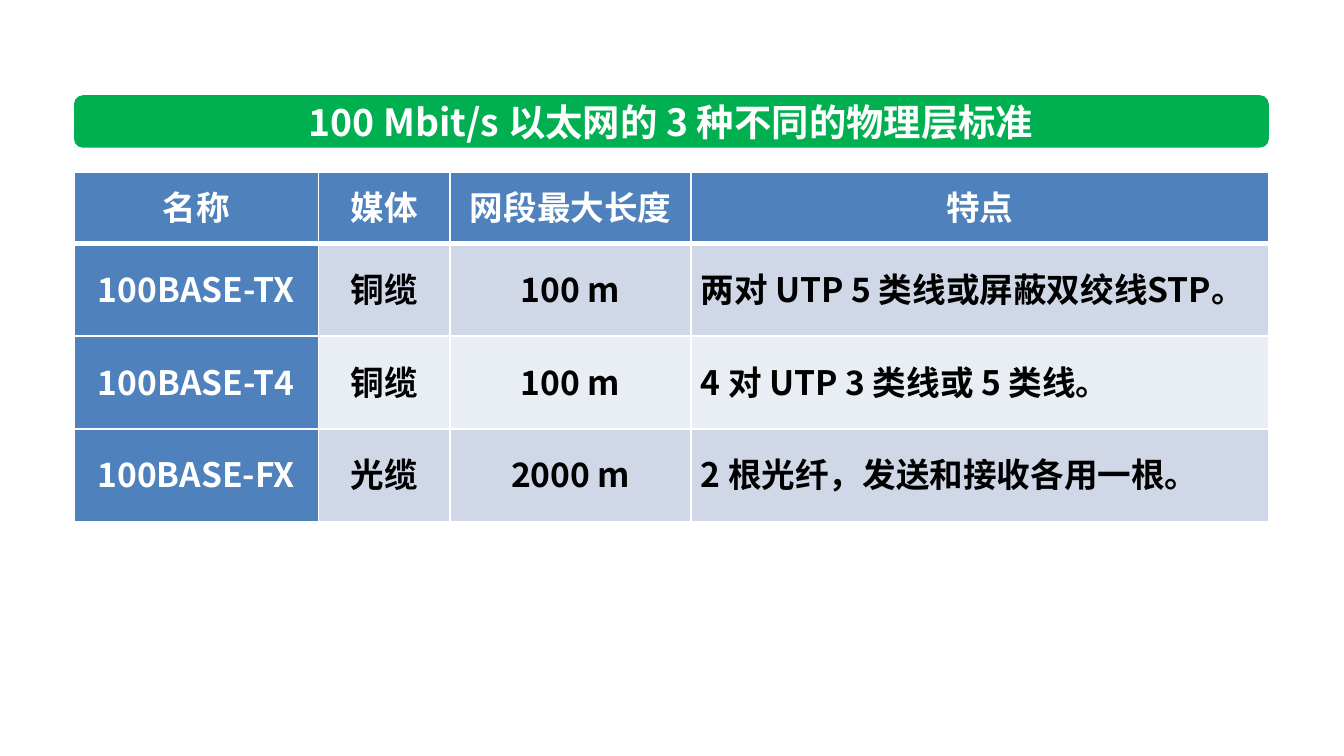
from dataclasses import dataclass

from lxml import etree
from pptx import Presentation
from pptx.dml.color import RGBColor
from pptx.enum.shapes import MSO_SHAPE
from pptx.enum.text import MSO_ANCHOR, MSO_AUTO_SIZE, PP_ALIGN
from pptx.oxml.ns import qn
from pptx.util import Cm, Pt

ROUNDED = MSO_SHAPE.ROUNDED_RECTANGLE
MIDDLE = MSO_ANCHOR.MIDDLE
CENTER, LEFT = PP_ALIGN.CENTER, PP_ALIGN.LEFT
GROW = MSO_AUTO_SIZE.SHAPE_TO_FIT_TEXT


@dataclass(frozen=True)
class Theme:
    font: str = "Noto Sans CJK SC"
    title_size: int = 20
    cell_size: int = 18
    line_spacing: int = 24
    bar: str = "00B050"
    head: str = "4F81BD"
    bands: tuple = ("D0D8E8", "E9EDF4")
    white: str = "FFFFFF"
    black: str = "000000"


theme = Theme()


def write(tf, text, size, color, align=CENTER, spacing=None):
    """Put one bold paragraph into a text frame."""
    p = tf.paragraphs[0]
    p.alignment = align
    if spacing:
        p.line_spacing = Pt(spacing)
    r = p.add_run()
    r.text = text
    r.font.name = theme.font
    r.font.size = Pt(size)
    r.font.bold = True
    r.font.color.rgb = RGBColor.from_string(color)
    etree.SubElement(r.font._element, qn("a:ea"), typeface=theme.font)


def set_borders(cell, bottom):
    """Draw white cell borders; only the bottom width varies."""
    tcPr = cell._tc.get_or_add_tcPr()
    widths = {"a:lnL": 1, "a:lnR": 1, "a:lnT": 1, "a:lnB": bottom}
    for i, (tag, width) in enumerate(widths.items()):
        ln = etree.Element(qn(tag), w=str(Pt(width)))
        fill = etree.SubElement(ln, qn("a:solidFill"))
        etree.SubElement(fill, qn("a:srgbClr"), val=theme.white)
        tcPr.insert(i, ln)


prs = Presentation()
prs.slide_width, prs.slide_height = Cm(25.4), Cm(14.28)
s = prs.slides.add_slide(prs.slide_layouts[5])
left, width = Cm(1.4), Cm(22.58)

# Green bar, placed behind the title
bar = s.shapes.add_shape(ROUNDED, left, Cm(1.8), width, Cm(0.99))
bar.shadow.inherit = False
bar.fill.solid()
bar.fill.fore_color.rgb = RGBColor.from_string(theme.bar)
bar.line.fill.background()
s.shapes.title._element.addprevious(bar._element)

# Title
title = s.shapes.title
title.left, title.top, title.width, title.height = Cm(5.28), Cm(1.73), Cm(14.81), Cm(1.12)
tf = title.text_frame
tf.word_wrap = False
tf.auto_size = GROW
tf.vertical_anchor = MIDDLE
write(tf, "100 Mbit/s 以太网的 3 种不同的物理层标准", theme.title_size, theme.white)

# Table of physical layer standards
rows = [
    ("名称", "媒体", "网段最大长度", "特点"),
    ("100BASE-TX", "铜缆", "100 m", "两对 UTP 5 类线或屏蔽双绞线STP。"),
    ("100BASE-T4", "铜缆", "100 m", "4 对 UTP 3 类线或 5 类线。"),
    ("100BASE-FX", "光缆", "2000 m", "2 根光纤，发送和接收各用一根。"),
]
col_widths = [4.62, 2.49, 4.55, 10.92]
row_heights = [1.35, 1.75, 1.75, 1.75]

table = s.shapes.add_table(len(rows), len(col_widths), left, Cm(3.25),
                           width, Cm(sum(row_heights))).table
table.horz_banding = False
table.first_col = True
for column, w in zip(table.columns, col_widths):
    column.width = Cm(w)
for row, h in zip(table.rows, row_heights):
    row.height = Cm(h)

for i, texts in enumerate(rows):
    for j, text in enumerate(texts):
        cell = table.cell(i, j)
        is_head = i == 0 or j == 0
        is_note = i > 0 and j == 3
        cell.vertical_anchor = MIDDLE
        cell.margin_left = cell.margin_right = Cm(0.18)
        cell.margin_top = cell.margin_bottom = 0
        cell.fill.solid()
        cell.fill.fore_color.rgb = RGBColor.from_string(
            theme.head if is_head else theme.bands[(i - 1) % 2])
        set_borders(cell, bottom=3 if i == 0 else 1)
        write(cell.text_frame, text, theme.cell_size,
              theme.white if is_head else theme.black,
              align=LEFT if is_note else CENTER, spacing=theme.line_spacing)

prs.save("out.pptx")
